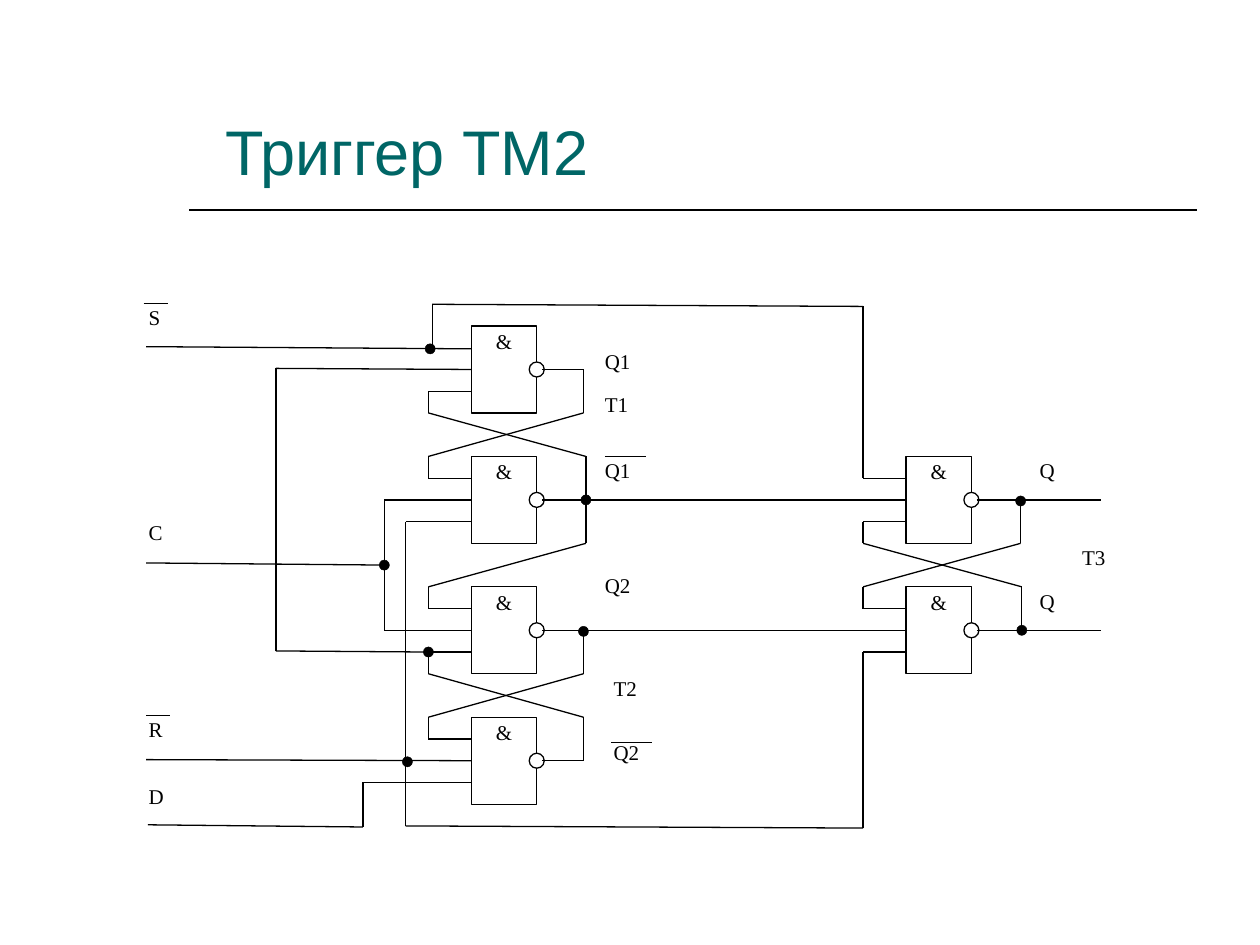
from dataclasses import dataclass
from itertools import pairwise

from lxml.etree import SubElement
from pptx import Presentation
from pptx.dml.color import RGBColor
from pptx.enum.shapes import MSO_CONNECTOR as Connector, MSO_SHAPE as Shape
from pptx.enum.text import MSO_ANCHOR as Anchor, PP_ALIGN as Align
from pptx.oxml.ns import qn
from pptx.util import Pt


@dataclass(frozen=True)
class Theme:
    ink: RGBColor = RGBColor(0x00, 0x00, 0x00)
    paper: RGBColor = RGBColor(0xFF, 0xFF, 0xFF)
    accent: RGBColor = RGBColor(0x00, 0x66, 0x66)
    title_font: str = "Arial"
    label_font: str = "Times New Roman"
    title_size: float = 36
    label_size: float = 12
    rule: float = 1
    wire: float = 0.75
    overline: float = 0.5
    dot_line: float = 0.25


# The circuit sits on rows: a gate is four rows high, its inputs on rows 1, 2 and 3.
TOP, ROW = 186.3, 12.42
GATE_WIDTH, GATE_ROWS, GATE_STEP = 37.4, 4, 6
BUBBLE, DOT = 8.6, 5.8
LEFT_GATES, RIGHT_GATES = 269.3, 517.7
LEFT_OUT, RIGHT_OUT = (x + GATE_WIDTH + 3 for x in (LEFT_GATES, RIGHT_GATES))

# Vertical wire runs
INPUT, LOOP, DATA, CLOCK, RESET = 83.5, 157.7, 207.4, 219.6, 231.8
FEEDBACK, SET, OUTPUT, OUTPUT_BAR = 244.8, 247, 333.4, 334.8
BUS, RIGHT_OUTPUT, RIGHT_OUTPUT_BAR, EXIT = 493.2, 583.2, 583.9, 629.3


def row_y(row):
    return TOP + ROW * row


def apply_format(target, values):
    for name, value in values.items():
        setattr(target, name, value)


class Diagram:
    def __init__(self, slide, theme):
        self.slide = slide
        self.theme = theme

    def set_text(self, shape, text, font, color, frame, align=Align.LEFT):
        apply_format(shape.text_frame, {"word_wrap": True, **frame})
        paragraph = shape.text_frame.paragraphs[0]
        paragraph.text = text
        paragraph.alignment = align
        apply_format(paragraph.font, font)
        paragraph.font.color.rgb = color

    def label_font(self):
        return {"name": self.theme.label_font, "size": Pt(self.theme.label_size)}

    def title(self, text):
        theme = self.theme
        box = self.slide.shapes.add_textbox(Pt(121.7), Pt(5.8), Pt(564.5), Pt(105))
        font = {"name": theme.title_font, "size": Pt(theme.title_size)}
        self.set_text(box, text, font, theme.accent, {"vertical_anchor": Anchor.BOTTOM})

    def label(self, text, x, y, width=37.4, height=24.5):
        box = self.slide.shapes.add_textbox(Pt(x), Pt(y), Pt(width), Pt(height))
        frame = {"margin_left": Pt(1.4), "margin_right": Pt(1.4),
                 "margin_top": Pt(0.7), "margin_bottom": Pt(0.7)}
        self.set_text(box, text, self.label_font(), self.theme.ink, frame)

    def solid(self, kind, x, y, width, height, fill, line_width):
        shape = self.slide.shapes.add_shape(kind, Pt(x), Pt(y), Pt(width), Pt(height))
        shape.shadow.inherit = False
        shape.fill.solid()
        shape.fill.fore_color.rgb = fill
        shape.line.color.rgb = self.theme.ink
        shape.line.width = Pt(line_width)
        return shape

    def circle(self, x, y, size, fill, line_width):
        """Draw a circle centred on x, y."""
        self.solid(Shape.OVAL, x - size / 2, y - size / 2, size, size, fill, line_width)

    def gate(self, x, row):
        """Draw a NAND gate with its inverting output."""
        theme = self.theme
        body = self.solid(Shape.RECTANGLE, x, row_y(row), GATE_WIDTH, GATE_ROWS * ROW,
                          theme.paper, theme.wire)
        frame = {"margin_left": Pt(1.4), "margin_right": Pt(1.4), "margin_top": Pt(1.4),
                 "margin_bottom": Pt(3.6), "vertical_anchor": Anchor.TOP}
        self.set_text(body, "&", self.label_font(), theme.ink, frame, Align.CENTER)
        self.circle(x + GATE_WIDTH, row_y(row + 2), BUBBLE, theme.paper, theme.wire)
        return body

    def dot(self, x, row):
        self.circle(x, row_y(row), DOT, self.theme.ink, self.theme.dot_line)

    def line(self, x1, y1, x2, y2, width):
        connector = self.slide.shapes.add_connector(
            Connector.STRAIGHT, Pt(x1), Pt(y1), Pt(x2), Pt(y2))
        connector.line.color.rgb = self.theme.ink
        connector.line.width = Pt(width)
        SubElement(connector._element.spPr, qn("a:effectLst"))
        return connector

    def wire(self, *points, gate=None):
        """Run through (x, row) points, then to the middle input of the gate if given."""
        stops = [(x, row_y(row)) for x, row in points]
        if gate is not None:
            stops.append((gate.left.pt, (gate.top + gate.height / 2) / Pt(1)))
        for start, end in pairwise(stops):
            connector = self.line(*start, *end, self.theme.wire)
        if gate is not None:
            connector.end_connect(gate, 1)

    def latch(self, gate_x, row, feedback, output, output_bar):
        """Cross-couple the gate at this row with the gate below it."""
        self.wire((gate_x, row + 3), (feedback, row + 3), (feedback, row + 4),
                  (output_bar, row + 6), (output_bar, row + 8))
        self.wire((gate_x, row + 7), (feedback, row + 7), (feedback, row + 6),
                  (output, row + 4), (output, row + 2))


def main():
    theme = Theme()
    presentation = Presentation()
    presentation.slide_width, presentation.slide_height = Pt(720), Pt(540)
    slide = presentation.slides.add_slide(presentation.slide_layouts[6])
    diagram = Diagram(slide, theme)

    diagram.line(108, 120, 684, 120, theme.rule)
    diagram.title("Триггер ТМ2")

    set_gate, clock_gate, data_gate, reset_gate = (
        diagram.gate(LEFT_GATES, GATE_STEP * index) for index in range(4))
    q_gate, q_bar_gate = (diagram.gate(RIGHT_GATES, GATE_STEP * index) for index in (1, 2))

    diagram.latch(LEFT_GATES, 0, FEEDBACK, OUTPUT, OUTPUT_BAR)
    diagram.latch(LEFT_GATES, 12, FEEDBACK, OUTPUT, OUTPUT)
    diagram.latch(RIGHT_GATES, 6, BUS, RIGHT_OUTPUT, RIGHT_OUTPUT_BAR)

    for points in (
        [(INPUT, 0.95), (LEFT_GATES, 1.05)],
        [(SET, 1), (SET, -1), (BUS, -0.9), (BUS, 7), (RIGHT_GATES, 7)],
        [(INPUT, 10.9), (CLOCK, 11)],
        [(INPUT + 1, 22.95), (DATA, 23.05), (DATA, 21), (LEFT_GATES, 21)],
        [(RIGHT_GATES, 15), (BUS, 15), (BUS, 23.1), (RESET, 23), (RESET, 9), (LEFT_GATES, 9)],
        [(OUTPUT_BAR, 8), (OUTPUT_BAR, 10), (FEEDBACK, 12), (FEEDBACK, 13), (LEFT_GATES, 13)],
        [(LEFT_OUT, 2), (OUTPUT, 2)],
        [(LEFT_OUT, 20), (OUTPUT, 20)],
        [(RIGHT_OUT, 8), (EXIT, 8)],
        [(RIGHT_OUT, 14), (EXIT, 14)],
    ):
        diagram.wire(*points)

    for gate, points in (
        (set_gate, [(FEEDBACK, 15), (LOOP, 14.95), (LOOP, 1.95)]),
        (clock_gate, [(CLOCK, 11), (CLOCK, 8)]),
        (data_gate, [(CLOCK, 11), (CLOCK, 14)]),
        (reset_gate, [(INPUT, 19.95)]),
        (q_gate, [(LEFT_OUT, 8)]),
        (q_bar_gate, [(LEFT_OUT, 14)]),
    ):
        diagram.wire(*points, gate=gate)

    for x, row in ((FEEDBACK + 1, 1.05), (OUTPUT_BAR, 8), (CLOCK, 11), (FEEDBACK, 15),
                   (OUTPUT, 14.05), (RESET + 1, 20.05), (RIGHT_OUTPUT, 8.05),
                   (RIGHT_OUTPUT_BAR, 14)):
        diagram.dot(x, row)

    for text, y in (("S", 173.5), ("С", 296), ("R", 409), ("D", 447.1)):
        diagram.label(text, INPUT, y, 15.1, 20.9)
    for text, x, y in (("Q1", 344.2, 198.7), ("T1", 344.2, 223.2), ("Q1", 344.2, 260.6),
                       ("Q2", 344.2, 326.2), ("T2", 349.2, 385.2), ("Q2", 349.2, 422),
                       ("T3", 617, 310.3), ("Q", 592.6, 260.6), ("Q", 592.6, 335.5)):
        diagram.label(text, x, y)
    for x, y, length in ((82.1, 173.5, 13.7), (83.5, 409, 13.7),
                         (345.6, 260.6, 23.4), (349.2, 424.1, 23.4)):
        diagram.line(x, y, x + length, y, theme.overline)

    presentation.save("out.pptx")


if __name__ == "__main__":
    main()
